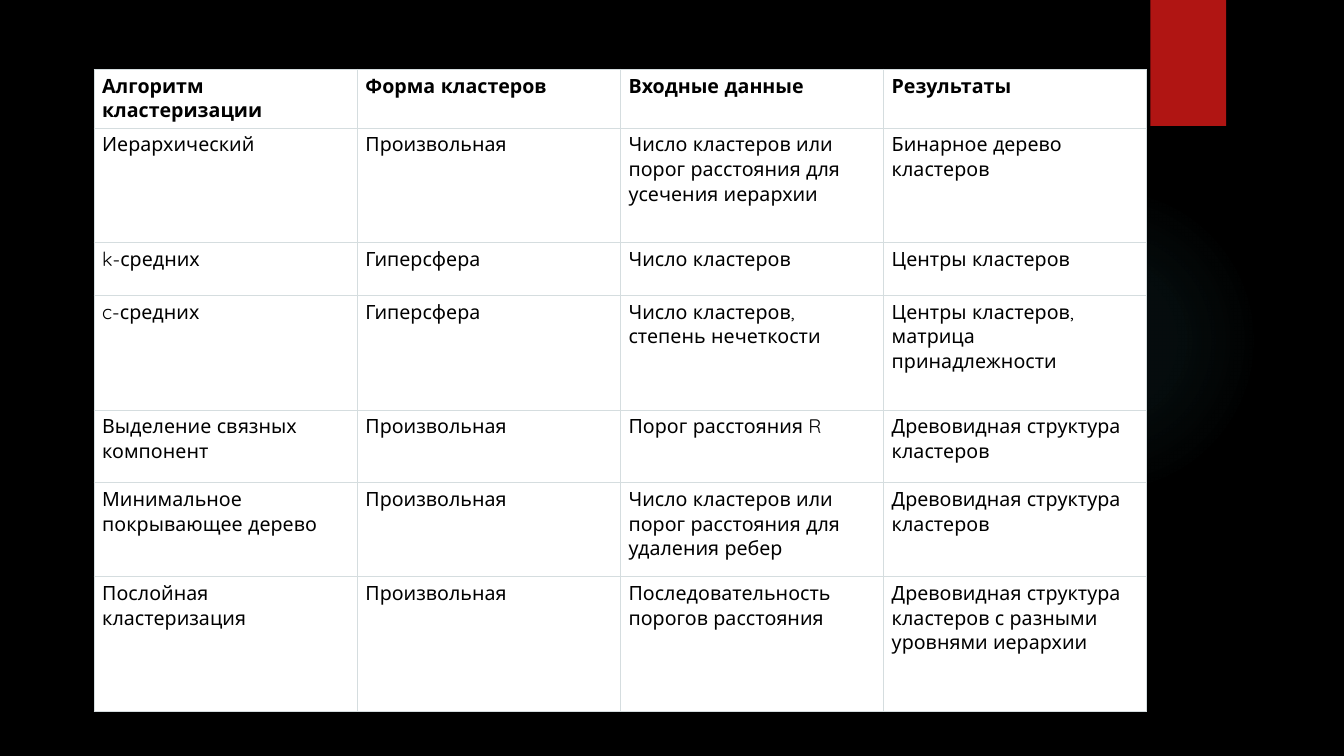
from pptx import Presentation
from pptx.dml.color import RGBColor
from pptx.enum.shapes import MSO_SHAPE
from pptx.oxml import parse_xml
from pptx.oxml.ns import nsdecls, qn
from pptx.util import Pt

FONT = "Quicksand"
BLACK, WHITE, RED = "000000", "FFFFFF", "B01513"
GLOW, BORDER = "50B9C1", "D5DDDF"

COLUMN_WIDTH = 188
ROW_HEIGHTS = [37.5, 82, 37.5, 82, 52, 67, 96.5]
ROWS = [
    ["Алгоритм кластеризации", "Форма кластеров", "Входные данные", "Результаты"],
    ["Иерархический", "Произвольная",
     "Число кластеров или порог расстояния для усечения иерархии",
     "Бинарное дерево кластеров"],
    ["k-средних", "Гиперсфера", "Число кластеров", "Центры кластеров"],
    ["c-средних", "Гиперсфера", "Число кластеров, степень нечеткости",
     "Центры кластеров, матрица принадлежности"],
    ["Выделение связных компонент", "Произвольная", "Порог расстояния R",
     "Древовидная структура кластеров"],
    ["Минимальное покрывающее дерево", "Произвольная",
     "Число кластеров или порог расстояния для удаления ребер",
     "Древовидная структура кластеров"],
    ["Послойная кластеризация", "Произвольная",
     "Последовательность порогов расстояния",
     "Древовидная структура кластеров с разными уровнями иерархии"],
]


def set_solid_fill(fill, color):
    fill.solid()
    fill.fore_color.rgb = RGBColor.from_string(color)


def add_plain_shape(slide, kind, left, top, width, height):
    shape = slide.shapes.add_shape(kind, Pt(left), Pt(top), Pt(width), Pt(height))
    shape.shadow.inherit = False
    shape.line.fill.background()
    return shape


def set_radial_fill(shape, color, stops):
    """Fill from the centre outwards; stops are (position, opacity) in percent."""
    shape.fill.background()
    stop_xml = "".join(
        f'<a:gs pos="{position * 1000}"><a:srgbClr val="{color}">'
        f'<a:alpha val="{opacity * 1000}"/></a:srgbClr></a:gs>'
        for position, opacity in stops)
    gradient = parse_xml(
        f'<a:gradFill {nsdecls("a")}><a:gsLst>{stop_xml}</a:gsLst><a:path path="circle">'
        '<a:fillToRect l="50000" t="50000" r="50000" b="50000"/></a:path></a:gradFill>')
    properties = shape._element.spPr
    properties.replace(properties.find(qn("a:noFill")), gradient)


def add_borders(cell, color, width):
    properties = cell._tc.get_or_add_tcPr()
    for side in "LRTB":
        properties.append(parse_xml(
            f'<a:ln{side} {nsdecls("a")} w="{Pt(width)}"><a:solidFill>'
            f'<a:srgbClr val="{color}"/></a:solidFill></a:ln{side}>'))


def format_cell(cell, text, bold):
    add_borders(cell, BORDER, 0.75)
    set_solid_fill(cell.fill, WHITE)
    cell.margin_left = cell.margin_right = Pt(5.75)
    cell.margin_top, cell.margin_bottom = Pt(3), Pt(4)
    cell.text_frame.text = text
    font = cell.text_frame.paragraphs[0].runs[0].font
    font.name, font.size, font.bold = FONT, Pt(14), bold
    font.color.rgb = RGBColor.from_string(BLACK)


def add_text_table(slide, left, top, rows, column_width, row_heights):
    """Add a bordered table whose first row is bold."""
    column_count = len(rows[0])
    table = slide.shapes.add_table(
        len(rows), column_count, Pt(left), Pt(top),
        Pt(column_width * column_count), Pt(sum(row_heights))).table
    for column in table.columns:
        column.width = Pt(column_width)
    for row_index, (texts, height) in enumerate(zip(rows, row_heights)):
        table.rows[row_index].height = Pt(height)
        for column_index, text in enumerate(texts):
            format_cell(table.cell(row_index, column_index), text, row_index == 0)


def main():
    presentation = Presentation()
    presentation.slide_width, presentation.slide_height = Pt(960), Pt(540)
    slide = presentation.slides.add_slide(presentation.slide_layouts[6])
    set_solid_fill(slide.background.fill, BLACK)

    glow = add_plain_shape(slide, MSO_SHAPE.OVAL, 677.5, 132, 222, 222)
    set_radial_fill(glow, GLOW, [(0, 7), (36, 6), (69, 0)])
    corner_tab = add_plain_shape(slide, MSO_SHAPE.RECTANGLE, 821.75, 0, 54, 90)
    set_solid_fill(corner_tab.fill, RED)
    add_text_table(slide, 67.25, 49.5, ROWS, COLUMN_WIDTH, ROW_HEIGHTS)

    presentation.save("out.pptx")


if __name__ == "__main__":
    main()
